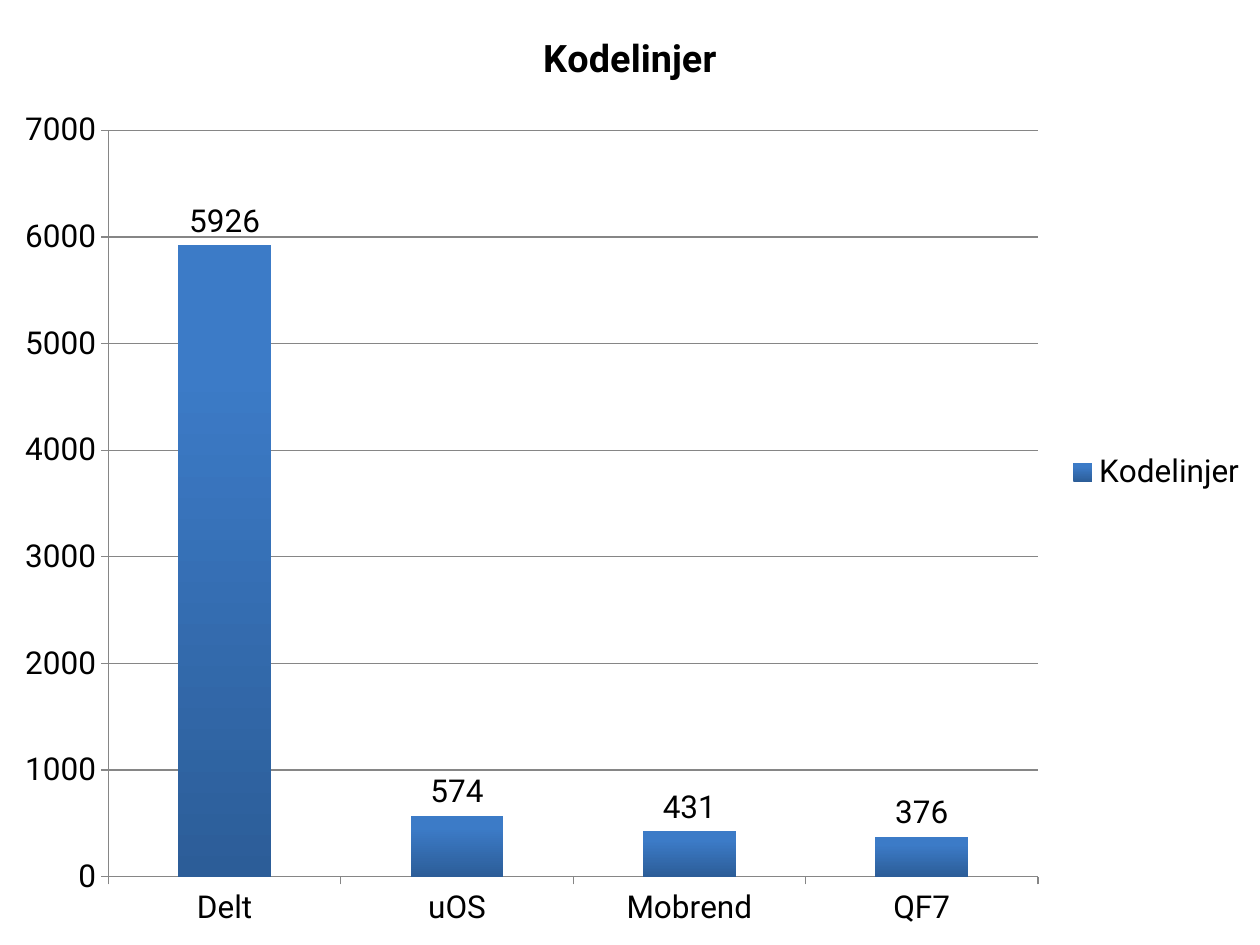
from pptx import Presentation
from pptx.chart.data import CategoryChartData
from pptx.dml.color import RGBColor
from pptx.enum.chart import XL_CHART_TYPE, XL_LABEL_POSITION, XL_LEGEND_POSITION, XL_TICK_MARK
from pptx.util import Inches, Pt

BLACK = RGBColor(0x00, 0x00, 0x00)
GREY = RGBColor(0x86, 0x86, 0x86)
LIGHT = RGBColor(0x3C, 0x7B, 0xC7)
DARK = RGBColor(0x2C, 0x5D, 0x98)
COLUMN = XL_CHART_TYPE.COLUMN_CLUSTERED
ABOVE = XL_LABEL_POSITION.OUTSIDE_END
RIGHT = XL_LEGEND_POSITION.RIGHT
OUT = XL_TICK_MARK.OUTSIDE
NONE = XL_TICK_MARK.NONE

WIDE, HIGH = Inches(10), Inches(7.5)
LINES = {"Delt": 5926, "uOS": 574, "Mobrend": 431, "QF7": 376}


def set_font(font, size=18, bold=False, color=BLACK, name="Roboto"):
    font.size = Pt(size)
    font.bold = bold
    font.color.rgb = color
    font.name = name


def put_text(frame, text, **style):
    run = frame.paragraphs[0].add_run()
    run.text = text
    set_font(run.font, **style)


class Deck:
    def __init__(self):
        self.file = Presentation()
        self.file.slide_width, self.file.slide_height = WIDE, HIGH
        self.slide = self.file.slides.add_slide(self.file.slide_layouts[6])

    def axis(self, axis):
        axis.major_tick_mark = OUT
        axis.minor_tick_mark = NONE
        axis.format.line.color.rgb = GREY
        axis.format.line.width = Pt(0.75)
        set_font(axis.tick_labels.font)

    def bars(self, series):
        series.invert_if_negative = False
        fill = series.format.fill
        fill.gradient()
        fill.gradient_angle = 90
        for stop, color, place in zip(fill.gradient_stops, (DARK, LIGHT), (0, 0.8)):
            stop.color.rgb = color
            stop.position = place

    def chart(self, title, values):
        data = CategoryChartData(number_format="General")
        data.categories = list(values)
        data.add_series(title, list(values.values()))
        chart = self.slide.shapes.add_chart(COLUMN, 0, 0, WIDE, HIGH, data).chart
        set_font(chart.font)
        chart.has_title = True
        put_text(chart.chart_title.text_frame, title, size=21.6, bold=True)
        chart.chart_title.include_in_layout = False

        chart.has_legend = True
        chart.legend.position = RIGHT
        chart.legend.include_in_layout = False
        set_font(chart.legend.font)

        self.axis(chart.category_axis)
        scale = chart.value_axis
        self.axis(scale)
        scale.minimum_scale, scale.maximum_scale, scale.major_unit = 0, 7000, 1000
        scale.has_major_gridlines = True
        grid = scale.major_gridlines.format.line
        grid.color.rgb = GREY
        grid.width = Pt(0.75)

        plot = chart.plots[0]
        plot.gap_width = 150
        plot.vary_by_categories = False
        plot.has_data_labels = True
        labels = plot.data_labels
        labels.show_value = True
        labels.position = ABOVE
        set_font(labels.font)
        self.bars(plot.series[0])


def main():
    deck = Deck()
    deck.chart("Kodelinjer", LINES)
    deck.file.save("out.pptx")


if __name__ == "__main__":
    main()
